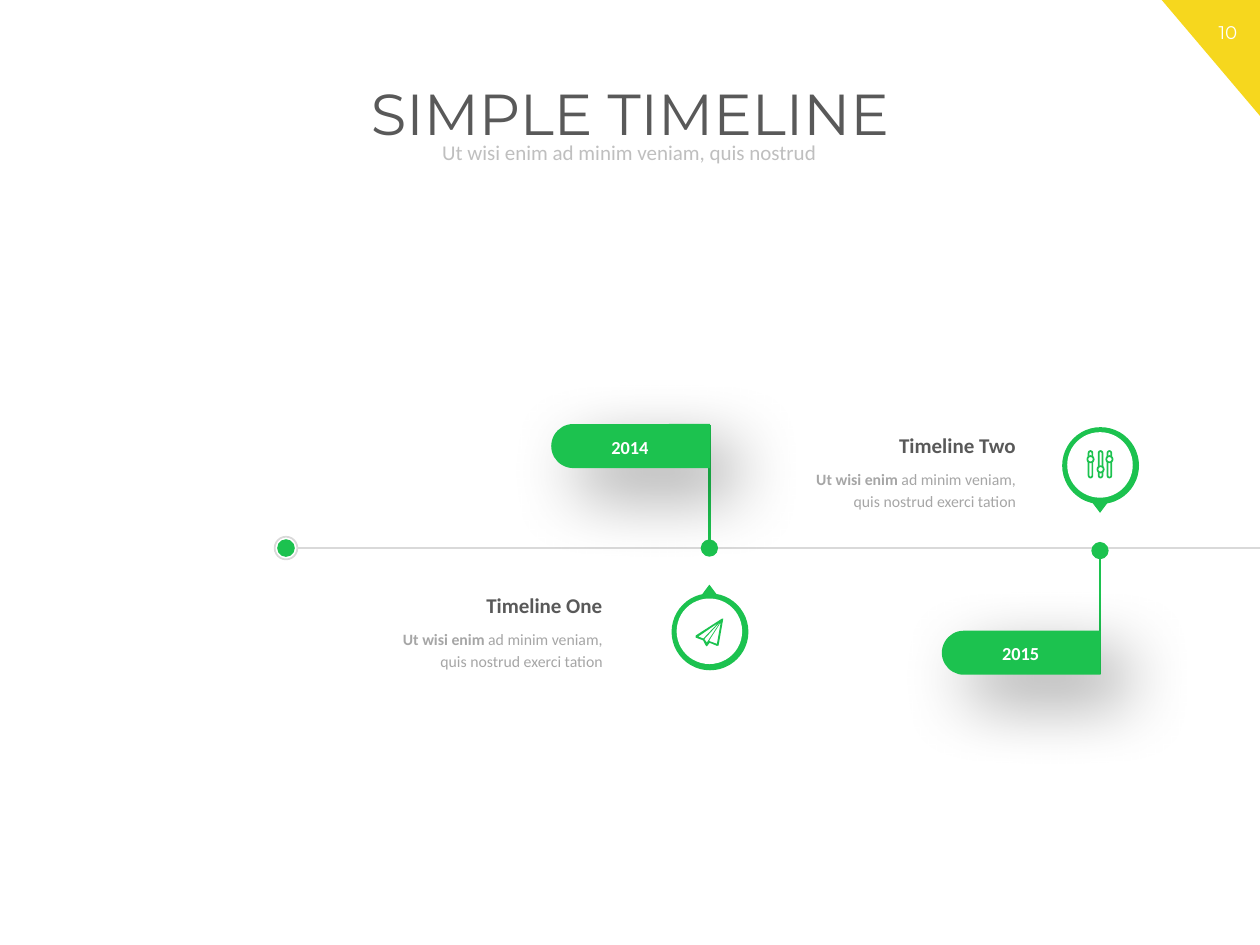
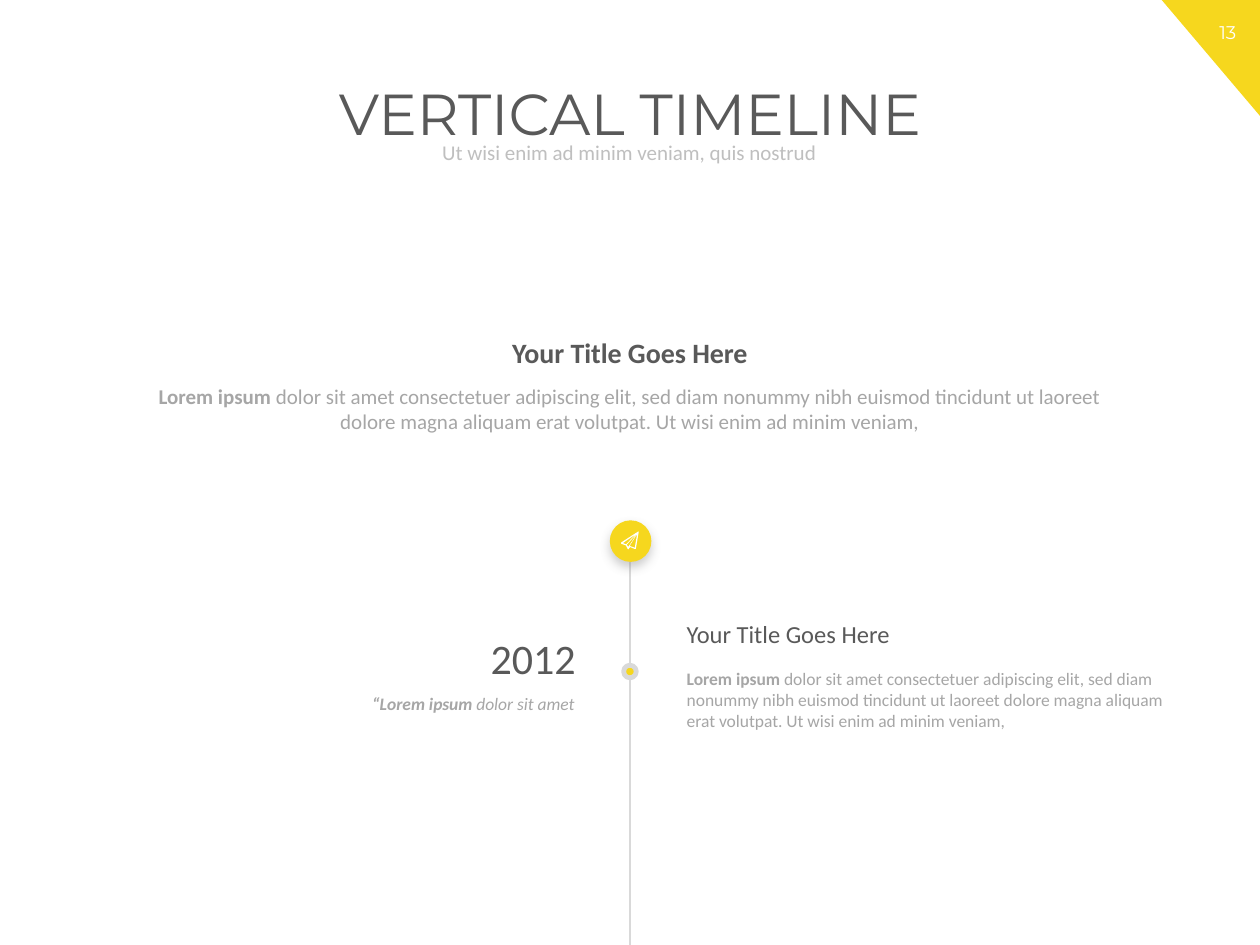
from lxml import etree
from pptx import Presentation
from pptx import util as u
from pptx.dml.color import RGBColor
from pptx.enum import shapes, text
from pptx.oxml import ns

Inches, Pt = u.Inches, u.Pt
KIND, ALIGN = shapes.MSO_SHAPE, text.PP_ALIGN

YELLOW = RGBColor(0xF6, 0xD7, 0x1E)
GREEN = RGBColor(0x1C, 0xC2, 0x4F)
WHITE = RGBColor(0xFF, 0xFF, 0xFF)
DARK = RGBColor(0x59, 0x59, 0x59)
GREY = RGBColor(0xA6, 0xA6, 0xA6)
PALE = RGBColor(0xBF, 0xBF, 0xBF)
RULE = RGBColor(0xD9, 0xD9, 0xD9)

BODY_FONT, TITLE_FONT = "Calibri", "Montserrat"
TIGHT = (0.07, 0.04)
LOREM = ("dolor sit amet consectetuer adipiscing elit, sed diam nonummy nibh euismod "
         "tincidunt ut laoreet dolore magna aliquam erat volutpat. "
         "Ut wisi enim ad minim veniam,")


def write(shape, runs, size, color, align=ALIGN.LEFT, font=BODY_FONT, insets=(0.1, 0.05),
          spacing=None, anchor=text.MSO_ANCHOR.TOP):
    """Fill a shape with one paragraph; runs are (text, style letters) pairs."""
    frame = shape.text_frame
    frame.word_wrap = True
    frame.auto_size = text.MSO_AUTO_SIZE.NONE
    frame.vertical_anchor = anchor
    frame.margin_left = frame.margin_right = Inches(insets[0])
    frame.margin_top = frame.margin_bottom = Inches(insets[1])
    paragraph = frame.paragraphs[0]
    paragraph.alignment = align
    if spacing:
        paragraph.line_spacing = spacing
    for words, style in runs:
        run = paragraph.add_run()
        run.text = words
        run.font.name = font
        run.font.size = Pt(size)
        run.font.color.rgb = color
        run.font.bold = "b" in style
        run.font.italic = "i" in style


def draw(slide, kind, box, fill=None, line=None, width=1, rotation=0):
    """Add a preset shape without shadow."""
    shape = slide.shapes.add_shape(kind, *map(Inches, box))
    shape.shadow.inherit = False
    shape.rotation = rotation
    if fill is None:
        shape.fill.background()
    else:
        shape.fill.solid()
        shape.fill.fore_color.rgb = fill
    if line is None:
        shape.line.fill.background()
    else:
        shape.line.color.rgb = line
        shape.line.width = Pt(width)
    return shape


presentation = Presentation()
presentation.slide_width, presentation.slide_height = Inches(10), Inches(7.5)

# Shared page corner, number, title and subtitle
slides = []
for title, number in [("SIMPLE TIMELINE", "10"), ("VERTICAL TIMELINE", "13")]:
    slide = presentation.slides.add_slide(presentation.slide_layouts[5])
    slides.append(slide)
    draw(slide, KIND.RIGHT_TRIANGLE, (9.22, 0, 0.78, 0.92), YELLOW, rotation=180)
    page_number = slide.shapes.add_textbox(*map(Inches, (9.49, 0.12, 0.51, 0.28)))
    write(page_number, [(number, "")], 10.5, WHITE, ALIGN.CENTER, TITLE_FONT)
    heading = slide.shapes.title
    heading.left, heading.top = Inches(0.57), Inches(0.63)
    heading.width, heading.height = Inches(8.86), Inches(0.73)
    write(heading, [(title, "")], 33, DARK, ALIGN.CENTER, TITLE_FONT, spacing=0.9)
    subtitle = slide.shapes.add_textbox(*map(Inches, (1.39, 1.09, 7.21, 0.26)))
    write(subtitle, [("Ut wisi enim ad minim veniam, quis nostrud", "")], 12, PALE,
          ALIGN.CENTER, spacing=0.9, anchor=text.MSO_ANCHOR.MIDDLE)
simple, vertical = slides

# Axes and flag poles: slide, start, end, colour, width, dot at the end
for slide, start, end, color, width, dotted in [
    (simple, (2.36, 4.35), (10, 4.35), RULE, 1, False),
    (simple, (5.63, 3.37), (5.63, 4.35), GREEN, 1.5, True),
    (simple, (8.73, 5.35), (8.73, 4.37), GREEN, 1.5, True),
    (vertical, (5, 4.46), (5, 7.5), RULE, 1, False),
]:
    connector = slide.shapes.add_connector(
        shapes.MSO_CONNECTOR.STRAIGHT, *map(Inches, start + end))
    connector.line.color.rgb = color
    connector.line.width = Pt(width)
    properties = connector._element.spPr
    if dotted:
        etree.SubElement(properties.find(ns.qn("a:ln")), ns.qn("a:tailEnd"),
                         type="oval", w="lg", len="lg")
    etree.SubElement(properties, ns.qn("a:effectLst"))

# Simple timeline: start marker
draw(simple, KIND.OVAL, (2.2, 4.28, 0.14, 0.14), GREEN)
draw(simple, KIND.OVAL, (2.18, 4.26, 0.18, 0.18), line=RULE)

# Simple timeline: flag, caption and pin of each event
shadows = []
for year, x, flag_top, name, right, caption_top, pin_top, tip_shift, tip_turn in [
    ("2014", 5.63, 2.91, "Timeline One", 4.88, 4.65, 4.71, -0.07, 0),
    ("2015", 8.73, 4.55, "Timeline Two", 8.16, 3.38, 3.39, 0.6, 180),
]:
    flag = draw(simple, KIND.ROUND_2_SAME_RECTANGLE, (x - 0.8, flag_top, 0.35, 1.26),
                GREEN, rotation=270)
    flag.adjustments[0], flag.adjustments[1] = 0.5, 0
    shadows.append((flag, "000000", 40, 20, 45))
    label = simple.shapes.add_textbox(*map(Inches, (x - 1.09, flag_top + 0.5, 0.92, 0.28)))
    write(label, [(year, "b")], 10.5, WHITE, ALIGN.CENTER)

    caption = simple.shapes.add_textbox(*map(Inches, (right - 1.24, caption_top, 1.24, 0.3)))
    write(caption, [(name, "b")], 12, DARK, ALIGN.RIGHT)
    detail = simple.shapes.add_textbox(
        *map(Inches, (right - 1.99, caption_top + 0.28, 1.99, 0.47)))
    write(detail, [("Ut wisi enim ", "b"), ("ad minim veniam, quis nostrud exerci tation", "")],
          9, GREY, ALIGN.RIGHT, spacing=1.14)

    draw(simple, KIND.OVAL, (x - 0.3, pin_top, 0.61, 0.61), GREEN)
    draw(simple, KIND.ISOSCELES_TRIANGLE, (x - 0.06, pin_top + tip_shift, 0.12, 0.08),
         GREEN, rotation=tip_turn)
    draw(simple, KIND.OVAL, (x - 0.26, pin_top + 0.04, 0.52, 0.52), WHITE)

# Slider icon in the second pin
for x, knob_top in [(8.66, 3.62), (8.74, 3.7), (8.81, 3.62)]:
    bar = draw(simple, KIND.ROUNDED_RECTANGLE, (x - 0.02, 3.58, 0.03, 0.21), WHITE, GREEN)
    bar.adjustments[0] = 0.5
    draw(simple, KIND.OVAL, (x - 0.03, knob_top, 0.05, 0.05), WHITE, GREEN)

# Vertical timeline: markers
draw(vertical, KIND.OVAL, (4.95, 5.28, 0.1, 0.1), YELLOW, RULE, 2.75)
badge = draw(vertical, KIND.FLOWCHART_CONNECTOR, (4.84, 4.13, 0.33, 0.33), YELLOW)
shadows.append((badge, "808080", 6, 3, 90))

# Vertical timeline: texts
for box, runs, size, color, align in [
    ((1, 3, 8, 0.48), [("Lorem ipsum ", "b"), (LOREM, "")], 12, GREY, ALIGN.CENTER),
    ((3.42, 2.62, 3.16, 0.35), [("Your Title Goes Here", "b")], 16, DARK, ALIGN.CENTER),
    ((5.38, 5.26, 4.02, 0.58), [("Lorem ipsum ", "b"), (LOREM, "")], 10, GREY, ALIGN.LEFT),
    ((5.38, 4.87, 3.16, 0.31), [("Your Title Goes Here", "")], 14, DARK, ALIGN.LEFT),
    ((3.41, 4.98, 1.23, 0.48), [("2012", "")], 24, DARK, ALIGN.RIGHT),
    ((2.16, 5.46, 2.47, 0.24), [("“Lorem ipsum ", "bi"), ("dolor sit amet", "i")],
     10, GREY, ALIGN.RIGHT),
]:
    write(vertical.shapes.add_textbox(*map(Inches, box)), runs, size, color, align,
          insets=TIGHT)

# Soft shadows: shape, colour, blur, distance, angle
for shape, color, blur, distance, angle in shadows:
    effects = shape._element.spPr.find(ns.qn("a:effectLst"))
    shadow = etree.SubElement(effects, ns.qn("a:outerShdw"), blurRad=str(Pt(blur)),
                              dist=str(Pt(distance)), dir=str(angle * 60000),
                              algn="ctr", rotWithShape="0")
    tint = etree.SubElement(shadow, ns.qn("a:srgbClr"), val=color)
    etree.SubElement(tint, ns.qn("a:alpha"), val="40000")

# Paper plane icons: an outline with three folds cut out, on a 220-unit grid
PLANE = [
    [(220, 0), (210, 0), (0, 135), (0, 150), (60, 172), (80, 212), (90, 220),
     (112, 192), (170, 216), (183, 214)],
    [(170, 200), (110, 178), (112, 168), (200, 30)],
    [(70, 162), (200, 22), (90, 190)],
    [(22, 142), (180, 34), (62, 158)],
]
for slide, left, top, size, color in [(simple, 5.52, 4.91, 0.22, GREEN),
                                      (vertical, 4.93, 4.22, 0.14, WHITE)]:
    builder = slide.shapes.build_freeform(*PLANE[0][0], scale=Inches(size) / 220)
    for contour in PLANE:
        builder.move_to(*contour[0])
        builder.add_line_segments(contour[1:], close=True)
    plane = builder.convert_to_shape(Inches(left), Inches(top))
    plane.shadow.inherit = False
    plane.fill.solid()
    plane.fill.fore_color.rgb = color
    plane.line.fill.background()

presentation.save("out.pptx")
